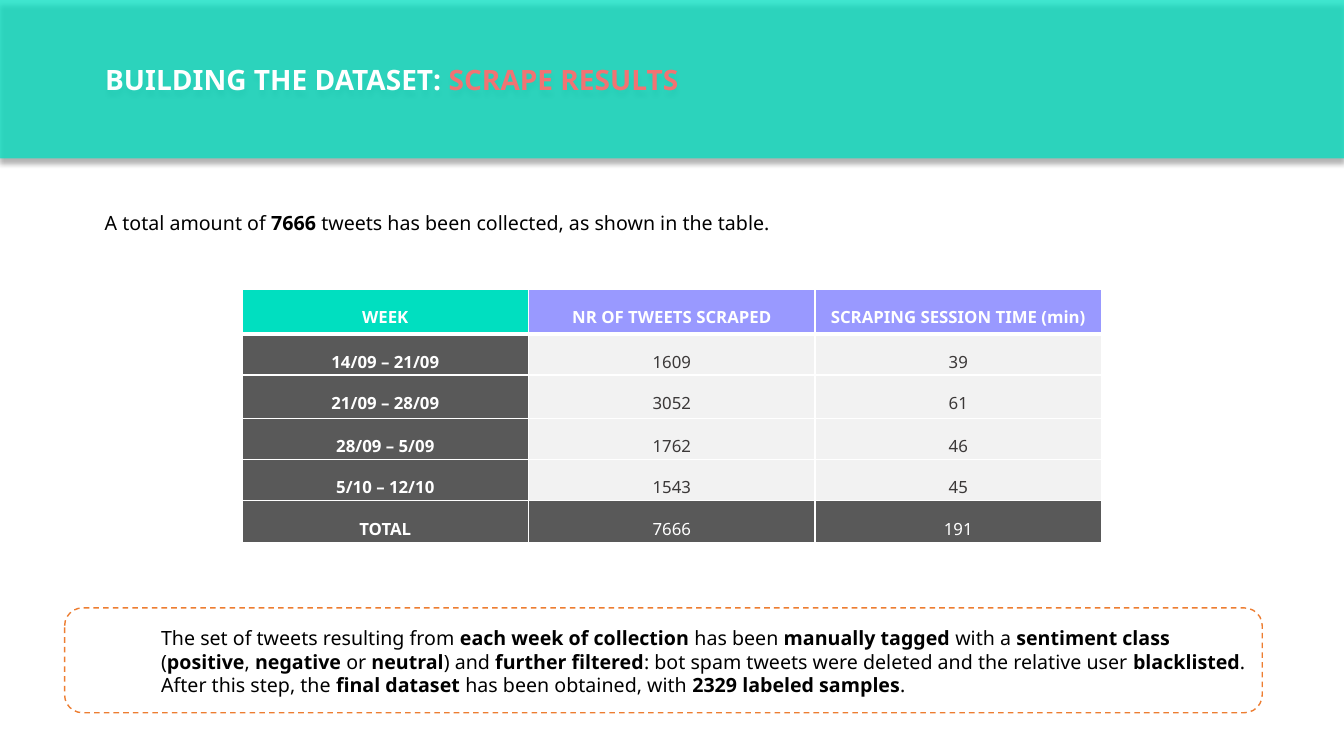
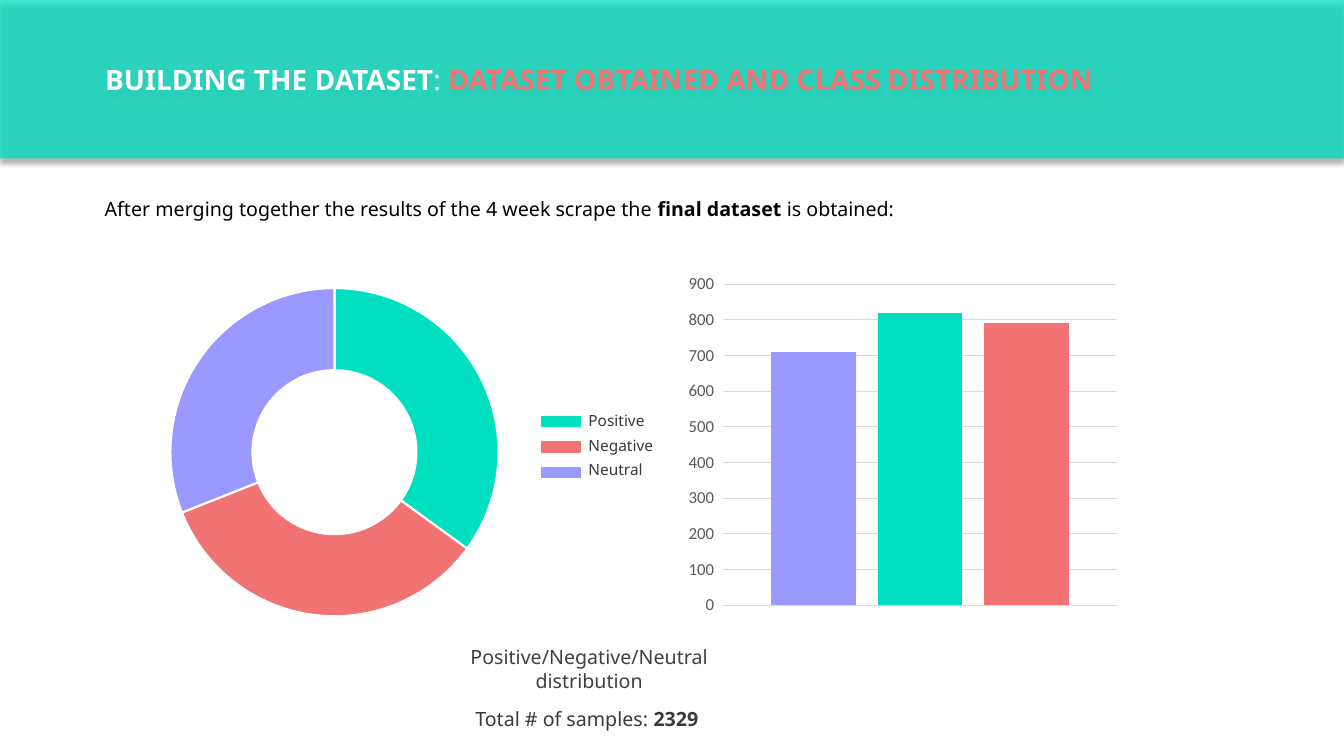
from dataclasses import dataclass

import pptx
import pptx.chart.data
import pptx.dml.color
import pptx.enum.chart
import pptx.enum.dml
import pptx.enum.shapes
import pptx.enum.text
import pptx.oxml
import pptx.oxml.ns
import pptx.util
from pptx.util import Cm, Pt

COLORS = {
    "teal": "00DFC0", "coral": "F17373", "violet": "9999FF", "orange": "ED7D31",
    "white": "FFFFFF", "black": "000000", "ink": "3B3838", "caption": "404040",
    "dark": "595959", "pale": "F2F2F2", "grid": "D9D9D9",
}
FONT = "Noto Sans"
AXIS_FONT = "Calibri"
TITLE_ONLY = 5
NS_A = pptx.oxml.ns.nsdecls("a")
NS_C = pptx.oxml.ns.nsdecls("c")
ALIGN = pptx.enum.text.PP_ALIGN


@dataclass(frozen=True)
class Box:
    """A rectangle in centimetres."""
    left: float
    top: float
    width: float
    height: float

    def emu(self) -> tuple:
        return tuple(Cm(n) for n in (self.left, self.top, self.width, self.height))


@dataclass(frozen=True)
class TextStyle:
    size: float = 14
    color: str = "black"
    align: ALIGN = ALIGN.LEFT
    spacing: float = 1.0


@dataclass(frozen=True)
class SentimentClass:
    label: str
    color: str
    share: int


@dataclass(frozen=True)
class Bar:
    series: str
    color: str
    samples: int


# Content
WEEK_TABLE = [
    ("WEEK", "NR OF TWEETS SCRAPED", "SCRAPING SESSION TIME (min)"),
    ("14/09 – 21/09", "1609", "39"),
    ("21/09 – 28/09", "3052", "61"),
    ("28/09 – 5/09", "1762", "46"),
    ("5/10 – 12/10", "1543", "45"),
    ("TOTAL", "7666", "191"),
]
ROW_HEIGHTS = (1.12, 1.04, 1.09, 1.04, 1.04, 1.04)
TAGGING_NOTE = [
    "The set of tweets resulting from **each week of collection** has been "
    "**manually tagged** with a **sentiment class**",
    "(**positive**, **negative** or **neutral**) and **further filtered**: bot spam "
    "tweets were deleted and the relative user **blacklisted**.",
    "After this step, the **final dataset** has been obtained, "
    "with **2329 labeled samples**.",
]
CLASSES = [
    SentimentClass("Positive", "teal", 35),
    SentimentClass("Negative", "coral", 34),
    SentimentClass("Neutral", "violet", 31),
]
BARS = [
    Bar("Series 1", "violet", 710),
    Bar("Series 2", "teal", 820),
    Bar("Series 3", "coral", 790),
]


# Shared helpers
def rgb(color: str) -> pptx.dml.color.RGBColor:
    return pptx.dml.color.RGBColor.from_string(COLORS[color])


def paint(fill, color: str) -> None:
    fill.solid()
    fill.fore_color.rgb = rgb(color)


def set_font(font, size: float, color: str, name: str = FONT) -> None:
    font.name, font.size = name, Pt(size)
    font.color.rgb = rgb(color)


def write(paragraph, text: str, style: TextStyle) -> None:
    """Write text in which **double asterisks** mark the bold parts."""
    paragraph.alignment = style.align
    paragraph.line_spacing = style.spacing
    set_font(paragraph.font, style.size, style.color)
    for number, part in enumerate(text.split("**")):
        if part:
            run = paragraph.add_run()
            run.text = part
            run.font.bold = number % 2 == 1


def add_text(slide, box: Box, lines: list[str], style: TextStyle = TextStyle()) -> None:
    frame = slide.shapes.add_textbox(*box.emu()).text_frame
    frame.word_wrap = True
    for number, line in enumerate(lines):
        write(frame.add_paragraph() if number else frame.paragraphs[0], line, style)


def add_banded_slide(deck, lead: str, topic: str):
    """Add a slide whose title fills the teal band across the top."""
    slide = deck.slides.add_slide(deck.slide_layouts[TITLE_ONLY])
    title = slide.shapes.title
    title.left, title.top, title.width, title.height = Box(0, 0, 33.87, 3.99).emu()

    paint(title.fill, "teal")
    properties = title.element.spPr
    properties.xpath("./a:solidFill/a:srgbClr")[0].append(
        pptx.oxml.parse_xml(f'<a:alpha {NS_A} val="75000"/>'))
    properties.append(pptx.oxml.parse_xml(
        f'<a:effectLst {NS_A}><a:outerShdw blurRad="{Pt(4)}" dist="{Pt(3)}" '
        f'dir="5400000" algn="t" rotWithShape="0"><a:srgbClr val="{COLORS["black"]}">'
        '<a:alpha val="40000"/></a:srgbClr></a:outerShdw></a:effectLst>'))

    frame = title.text_frame
    frame.auto_size = pptx.enum.text.MSO_AUTO_SIZE.NONE
    frame.vertical_anchor = pptx.enum.text.MSO_ANCHOR.MIDDLE
    frame.margin_left = Cm(2.65)
    heading = frame.paragraphs[0]
    write(heading, f"{lead}**{topic}**", TextStyle(20, "white"))
    heading.runs[-1].font.color.rgb = rgb("coral")
    return slide


# Table
def set_borders(cell, bottom: float) -> None:
    widths = {"lnL": 1, "lnR": 1, "lnT": 1, "lnB": bottom}
    properties = cell._tc.get_or_add_tcPr()
    for position, (side, width) in enumerate(widths.items()):
        properties.insert(position, pptx.oxml.parse_xml(
            f'<a:{side} {NS_A} w="{Pt(width)}"><a:solidFill>'
            f'<a:srgbClr val="{COLORS["white"]}"/></a:solidFill></a:{side}>'))


def cell_colors(row: int, column: int) -> tuple[str, str]:
    """Return the fill and the text colour of a cell."""
    if row == 0:
        return ("violet" if column else "teal"), "white"
    if column == 0 or row == len(WEEK_TABLE) - 1:
        return "dark", "white"
    return "pale", "ink"


def add_week_table(slide, box: Box) -> None:
    table = slide.shapes.add_table(
        len(WEEK_TABLE), len(WEEK_TABLE[0]), *box.emu()).table
    table.horz_banding = False
    for column in table.columns:
        column.width = Cm(box.width / len(WEEK_TABLE[0]))
    for r, texts in enumerate(WEEK_TABLE):
        table.rows[r].height = Cm(ROW_HEIGHTS[r])
        for c, text in enumerate(texts):
            cell = table.cell(r, c)
            fill, ink = cell_colors(r, c)
            paint(cell.fill, fill)
            set_borders(cell, bottom=1 if r else 3)
            bold = r == 0 or c == 0
            write(cell.text_frame.paragraphs[0], f"**{text}**" if bold else text,
                  TextStyle(12, ink, ALIGN.CENTER, 1.5))


# Charts
def add_plain_chart(slide, kind, box: Box, categories: list[str], series: dict):
    data = pptx.chart.data.CategoryChartData()
    data.categories = categories
    for name, values in series.items():
        data.add_series(name, values)
    chart = slide.shapes.add_chart(kind, *box.emu(), data).chart
    chart.has_legend = chart.has_title = False
    set_font(chart.font, 10, "black", AXIS_FONT)
    return chart


def add_share_doughnut(slide, box: Box) -> None:
    chart = add_plain_chart(
        slide, pptx.enum.chart.XL_CHART_TYPE.DOUGHNUT, box, ["1", "2", "3"],
        {"Series 1": [item.share for item in CLASSES]})
    chart.element.xpath(".//c:holeSize")[0].set("val", "54")
    shares = chart.plots[0].series[0]
    for number, item in enumerate(CLASSES):
        look = shares.points[number].format
        paint(look.fill, item.color)
        paint(look.line.fill, "white")
        look.line.width = Pt(1.5)


def add_sample_columns(slide, box: Box) -> None:
    chart = add_plain_chart(
        slide, pptx.enum.chart.XL_CHART_TYPE.COLUMN_CLUSTERED, box, ["1"],
        {bar.series: [bar.samples] for bar in BARS})
    plot = chart.plots[0]
    plot.gap_width, plot.overlap = 110, -26
    plot.vary_by_categories = False
    for series, bar in zip(plot.series, BARS):
        paint(series.format.fill, bar.color)

    chart.category_axis.visible = False
    axis = chart.value_axis
    axis.minimum_scale, axis.maximum_scale, axis.major_unit = 0, 900, 100
    axis.format.line.fill.background()
    set_font(axis.tick_labels.font, 12, "dark", AXIS_FONT)
    gridline = axis.major_gridlines.format.line
    paint(gridline.fill, "grid")
    gridline.width = Pt(0.75)

    # Fixed inner plot area
    area = chart.element.xpath(".//c:plotArea")[0]
    for layout in area.xpath("./c:layout"):
        area.remove(layout)
    frame = {"x": 0.143, "y": 0.026, "w": 0.755, "h": 0.904}
    modes = '<c:xMode val="edge"/><c:yMode val="edge"/>'
    sizes = "".join(f'<c:{key} val="{value}"/>' for key, value in frame.items())
    area.insert(0, pptx.oxml.parse_xml(
        f'<c:layout {NS_C}><c:manualLayout><c:layoutTarget val="inner"/>'
        f"{modes}{sizes}</c:manualLayout></c:layout>"))


def add_class_legend(slide) -> None:
    for number, item in enumerate(CLASSES):
        swatch = slide.shapes.add_shape(
            pptx.enum.shapes.MSO_SHAPE.RECTANGLE,
            *Box(13.65, 10.49 + 0.65 * number, 0.97, 0.25).emu())
        swatch.shadow.inherit = False
        paint(swatch.fill, item.color)
        paint(swatch.line.fill, item.color)
        swatch.line.width = Pt(1)
        add_text(slide, Box(14.58, 10.24 + 0.62 * number, 2.4, 0.74),
                 [item.label], TextStyle(11, "ink"))


# Slides
def build_scrape_results(deck) -> None:
    slide = add_banded_slide(deck, "**BUILDING THE DATASET: **", "SCRAPE RESULTS")
    add_text(slide, Box(2.39, 5.18, 18, 0.86),
             ["A total amount of **7666** tweets has been collected, as shown in the table."])
    add_week_table(slide, Box(6.1, 7.29, 21.66, 6.37))
    add_text(slide, Box(3.81, 15.65, 28.5, 2.06), TAGGING_NOTE)
    outline = slide.shapes.add_shape(
        pptx.enum.shapes.MSO_SHAPE.ROUNDED_RECTANGLE,
        *Box(1.63, 15.32, 30.18, 2.64).emu())
    outline.adjustments[0] = 0.17
    outline.shadow.inherit = False
    outline.fill.background()
    paint(outline.line.fill, "orange")
    outline.line.width = Pt(1)
    outline.line.dash_style = pptx.enum.dml.MSO_LINE.DASH


def build_class_distribution(deck) -> None:
    slide = add_banded_slide(deck, "**BUILDING THE DATASET**: ",
                             "DATASET OBTAINED AND CLASS DISTRIBUTION")
    add_text(slide, Box(2.39, 4.83, 21.5, 0.86),
             ["After merging together the results of the 4 week scrape the "
              "**final dataset** is obtained:"])
    add_share_doughnut(slide, Box(3.63, 6.91, 9.6, 8.97))
    add_sample_columns(slide, Box(16.38, 6.91, 13.08, 8.97))
    add_class_legend(slide)
    add_text(slide, Box(11.5, 16.13, 6.7, 1.45),
             ["Positive/Negative/Neutral", "distribution"],
             TextStyle(14, "caption", ALIGN.CENTER))
    add_text(slide, Box(11.73, 17.7, 6.5, 0.86),
             ["Total # of samples: **2329**"], TextStyle(14, "ink"))


def main() -> None:
    deck = pptx.Presentation()
    deck.slide_width, deck.slide_height = Cm(33.87), Cm(19.05)
    build_scrape_results(deck)
    build_class_distribution(deck)
    deck.save("out.pptx")


if __name__ == "__main__":
    main()
